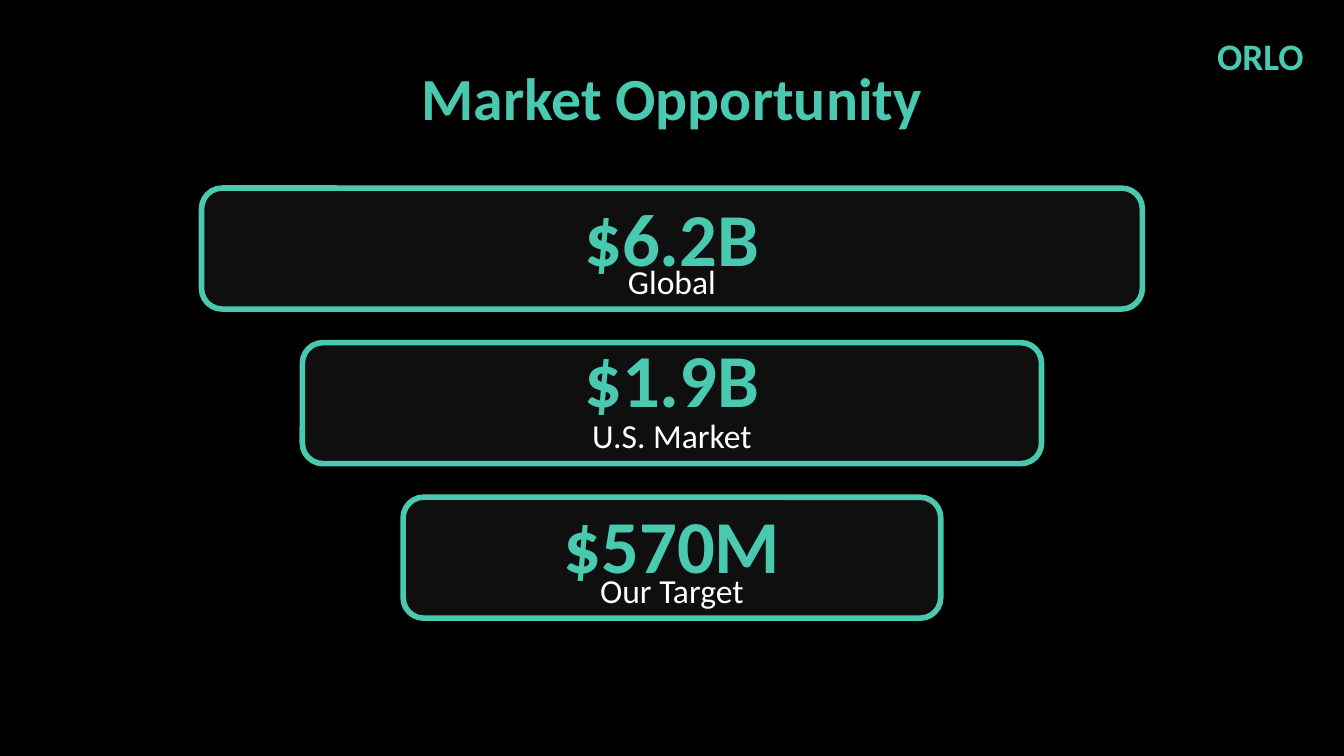
from pptx import Presentation
from pptx.dml.color import RGBColor
from pptx.enum.shapes import MSO_SHAPE
from pptx.enum.text import MSO_AUTO_SIZE, PP_ALIGN
from pptx.util import Pt

ROUND = MSO_SHAPE.ROUNDED_RECTANGLE
GROW = MSO_AUTO_SIZE.SHAPE_TO_FIT_TEXT
CENTER, RIGHT = PP_ALIGN.CENTER, PP_ALIGN.RIGHT
TEAL, WHITE, BLACK, PANEL = "48C9B0", "FFFFFF", "000000", "0F0F0F"

BRAND = "ORLO"
TITLE = "Market Opportunity"
TIERS = [
    ("$6.2B", "Global", -1.44),
    ("$1.9B", "U.S. Market", -8.64),
    ("$570M", "Our Target", -2.88),
]
WIDE, HIGH = 720, 405
TOP, STEP, TALL = 100.8, 82.8, 64.8
FIRST, SHRINK = 504, 108

STYLES = {
    "brand": {"size": Pt(20), "bold": True, "color": TEAL},
    "title": {"size": Pt(32), "bold": True, "color": TEAL},
    "value": {"size": Pt(40), "bold": True, "color": TEAL},
    "label": {"size": Pt(18), "bold": False, "color": WHITE},
}


def paint(target, color):
    target.rgb = RGBColor.from_string(color)


def fill(target, color):
    target.solid()
    paint(target.fore_color, color)


def write(slide, text, box, style, align=CENTER):
    frame = slide.shapes.add_textbox(*map(Pt, box)).text_frame
    frame.word_wrap = True
    frame.auto_size = GROW
    line = frame.paragraphs[0]
    line.alignment = align
    run = line.add_run()
    run.text = text
    run.font.name = "Calibri"
    for name, value in STYLES[style].items():
        if name == "color":
            paint(run.font.color, value)
        else:
            setattr(run.font, name, value)


def panel(slide, box):
    shape = slide.shapes.add_shape(ROUND, *map(Pt, box))
    shape.adjustments[0] = 0.17
    shape.shadow.inherit = False
    fill(shape.fill, PANEL)
    fill(shape.line.fill, TEAL)
    shape.line.width = Pt(3)


def main():
    deck = Presentation()
    deck.slide_width, deck.slide_height = Pt(WIDE), Pt(HIGH)
    slide = deck.slides.add_slide(deck.slide_layouts[6])
    fill(slide.background.fill, BLACK)
    write(slide, BRAND, (612, 14.4, 93.6, 28.8), "brand", RIGHT)
    write(slide, TITLE, (36, 28.8, 648, 36), "title")
    for i, (value, label, shift) in enumerate(TIERS):
        width = FIRST - i * SHRINK
        left = (WIDE - width) / 2
        top = TOP + i * STEP
        panel(slide, (left, top, width, TALL))
        write(slide, value, (left, top + shift, width, 55.44), "value")
        write(slide, label, (left, top + 35.28, width, 28.8), "label")
    deck.save("out.pptx")


if __name__ == "__main__":
    main()
